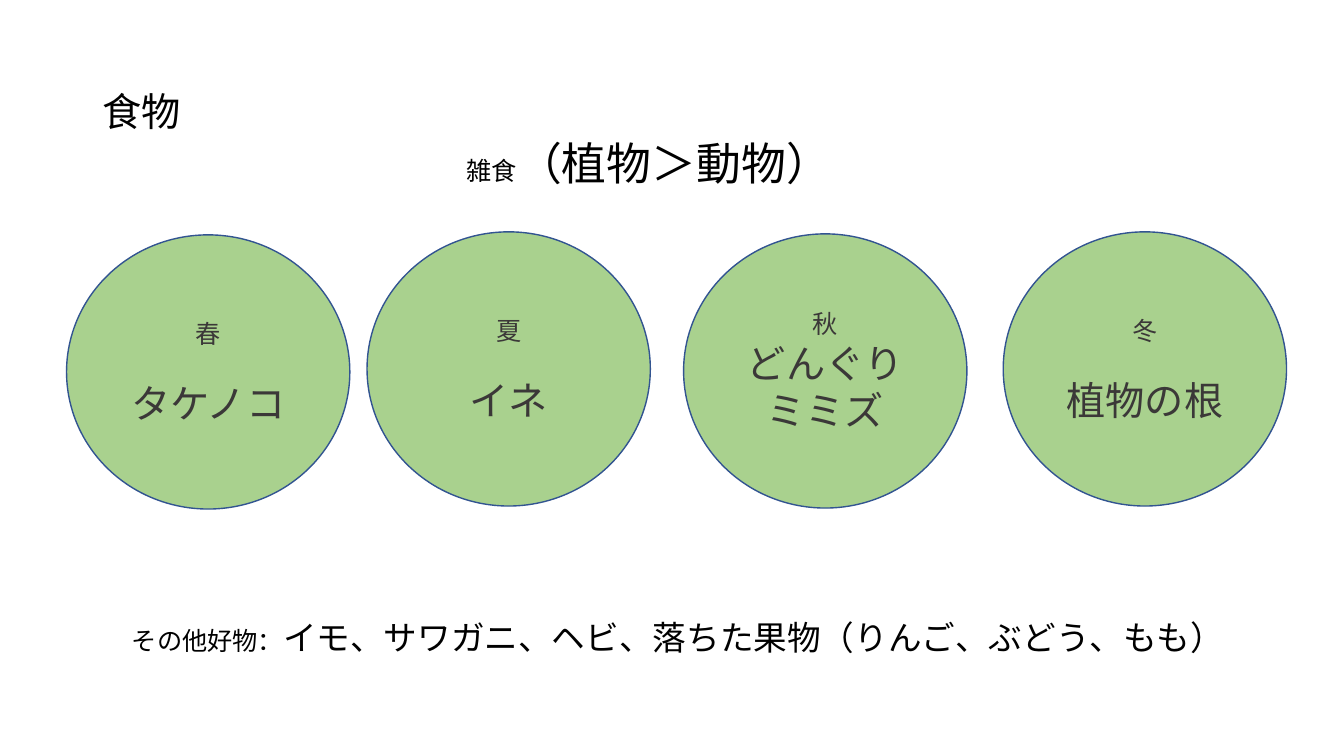
from pptx import Presentation
from pptx.dml.color import RGBColor
from pptx.enum.shapes import MSO_SHAPE
from pptx.enum.text import MSO_ANCHOR, MSO_AUTO_SIZE, PP_ALIGN
from pptx.oxml.ns import qn
from pptx.util import Inches, Pt
from lxml import etree

FONT = "Noto Sans CJK JP"


def rgb(value):
    return RGBColor.from_string(value)


def add_run(p, text, size, color="000000"):
    """Add a run with the same Latin and East Asian font."""
    r = p.add_run()
    r.text = text
    r.font.size = Pt(size)
    r.font.color.rgb = rgb(color)
    r.font.name = FONT
    etree.SubElement(r.font._element, qn("a:ea"), typeface=FONT)


prs = Presentation()
prs.slide_width = Inches(13.33)
prs.slide_height = Inches(7.5)
s = prs.slides.add_slide(prs.slide_layouts[5])

# Title
title = s.shapes.title
title.left, title.top = Inches(0.92), Inches(0.4)
title.width, title.height = Inches(11.5), Inches(1.45)
tf = title.text_frame
tf.auto_size = MSO_AUTO_SIZE.NONE
tf.vertical_anchor = MSO_ANCHOR.MIDDLE
p = tf.paragraphs[0]
p.alignment = PP_ALIGN.LEFT
p.line_spacing = 0.9
add_run(p, "食物", 28)

# Seasonal foods: left, top, season, foods
seasons = [
    (0.66, 2.33, "春", ["タケノコ"]),
    (3.64, 2.3, "夏", ["イネ"]),
    (6.78, 2.32, "秋", ["どんぐり", "ミミズ"]),
    (9.95, 2.3, "冬", ["植物の根"]),
]
for left, top, season, foods in seasons:
    sp = s.shapes.add_shape(MSO_SHAPE.OVAL, Inches(left), Inches(top),
                            Inches(2.81), Inches(2.72))
    sp.shadow.inherit = False
    sp.fill.solid()
    sp.fill.fore_color.rgb = rgb("A9D18E")
    sp.line.color.rgb = rgb("325491")
    sp.line.width = Pt(1)
    tf = sp.text_frame
    tf.vertical_anchor = MSO_ANCHOR.MIDDLE
    p = tf.paragraphs[0]
    p.alignment = PP_ALIGN.CENTER
    add_run(p, season, 18, "3B3838")
    for food in foods:
        p = tf.add_paragraph()
        p.alignment = PP_ALIGN.CENTER
        if len(foods) == 1:
            p.space_before = Pt(22)
        add_run(p, food, 28, "3B3838")

# Diet summary and other favourites: box, label, detail, detail size
notes = [
    ((4.53, 1.3, 3.85, 0.64), "雑食", "（植物＞動物）", 32),
    ((1.21, 6.07, 11.14, 0.5), "その他好物：",
     "イモ、サワガニ、ヘビ、落ちた果物（りんご、ぶどう、もも）", 24),
]
for box, label, detail, size in notes:
    tf = s.shapes.add_textbox(*map(Inches, box)).text_frame
    tf.word_wrap = False
    tf.auto_size = MSO_AUTO_SIZE.SHAPE_TO_FIT_TEXT
    p = tf.paragraphs[0]
    add_run(p, label, 18)
    add_run(p, detail, size)

prs.save("out.pptx")
